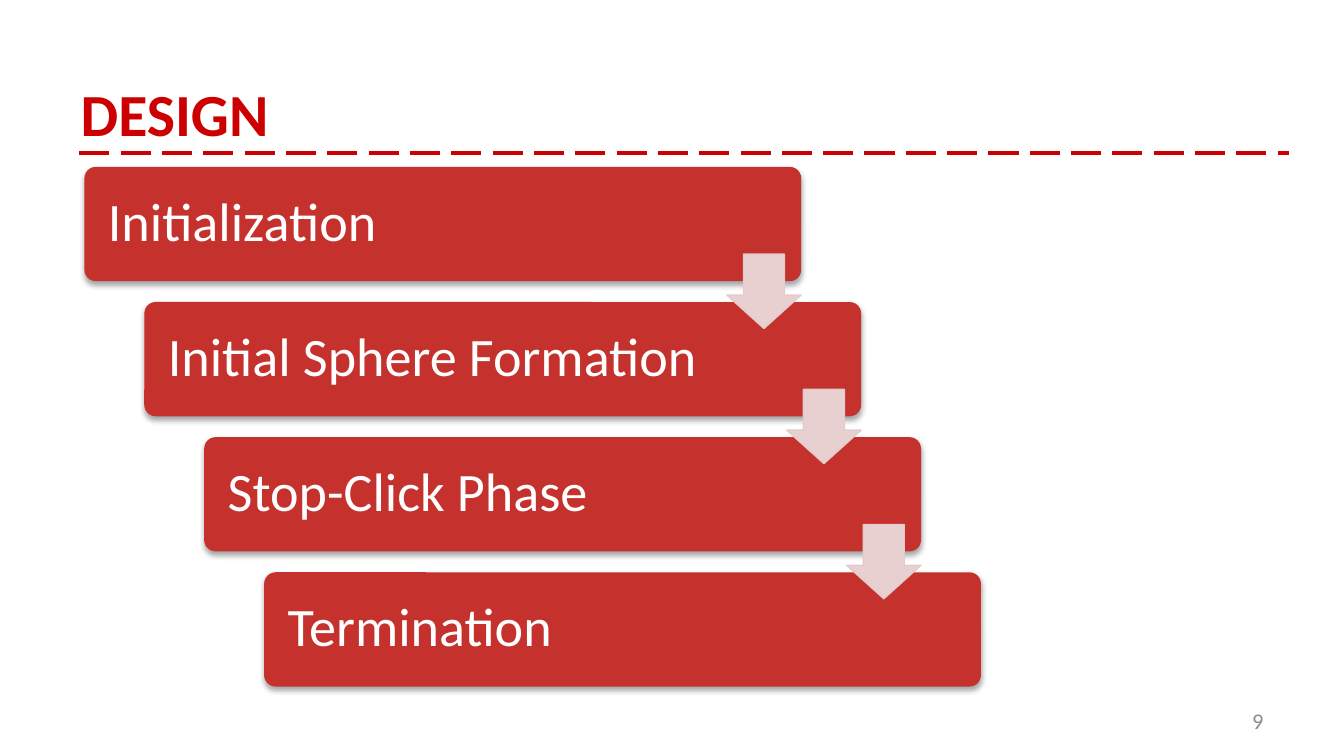
from lxml import etree
from pptx import Presentation
from pptx.dml.color import RGBColor
from pptx.enum import dml, shapes, text
from pptx.oxml import parse_xml
from pptx.oxml.ns import nsdecls, qn
from pptx.util import Pt

RED = RGBColor(0xCC, 0x00, 0x01)
BRICK = RGBColor(0xC5, 0x31, 0x2D)
PINK = RGBColor(0xE8, 0xD0, 0xD0)
PINK_EDGE = RGBColor(0xE3, 0xCB, 0xCB)
WHITE = RGBColor(0xFF, 0xFF, 0xFF)
GRAY = RGBColor(0x8C, 0x8C, 0x8C)
FONT = "Calibri"

STEPS = ["Initialization", "Initial Sphere Formation", "Stop-Click Phase", "Termination"]
STEP_LEFT, STEP_TOP = 45.2, 89.4
STEP_WIDTH, STEP_HEIGHT = 384, 61.2
SHIFT_RIGHT, SHIFT_DOWN = 32.1, 72.4
ARROW_SIZE = 39.8
ARROW_DROP = 46.8


def write_text(box, content, *, size, color, bold=False,
               align=text.PP_ALIGN.LEFT, margins=(7.2, 3.6, 7.2, 3.6), spacing=1.0):
    frame = box.text_frame
    frame.word_wrap = True
    frame.auto_size = text.MSO_AUTO_SIZE.NONE
    frame.vertical_anchor = text.MSO_ANCHOR.MIDDLE
    frame.margin_left, frame.margin_top, frame.margin_right, frame.margin_bottom = map(Pt, margins)
    para = frame.paragraphs[0]
    para.alignment = align
    para.line_spacing = spacing
    para.space_before = Pt(0)
    span = para.add_run()
    span.text = content
    span.font.name = FONT
    span.font.size = Pt(size)
    span.font.bold = bold
    span.font.color.rgb = color


def add_soft_shadow(shape):
    shape.shadow.inherit = False
    effects = shape._element.spPr.find(qn("a:effectLst"))
    effects.append(parse_xml(
        f'<a:outerShdw {nsdecls("a")} blurRad="{Pt(3.1)}" dist="{Pt(1.8)}" dir="5400000" '
        'rotWithShape="0"><a:srgbClr val="000000"><a:alpha val="35000"/></a:srgbClr></a:outerShdw>'))


def add_title(page, content):
    title = page.shapes.title
    title.left, title.top, title.width, title.height = Pt(36), Pt(28.8), Pt(648), Pt(63.4)
    write_text(title, content, size=32, color=RED, bold=True)


def add_rule(page):
    rule = page.shapes.add_connector(
        shapes.MSO_CONNECTOR.STRAIGHT, Pt(42.5), Pt(82.1), Pt(690.5), Pt(82.1))
    rule.line.color.rgb = RED
    rule.line.width = Pt(2)
    rule.line.dash_style = dml.MSO_LINE.LONG_DASH
    etree.SubElement(rule._element.spPr, qn("a:effectLst"))


def add_step(page, content, left, top):
    step = page.shapes.add_shape(
        shapes.MSO_SHAPE.ROUNDED_RECTANGLE, Pt(left), Pt(top), Pt(STEP_WIDTH), Pt(STEP_HEIGHT))
    step.adjustments[0] = 0.1
    step.fill.solid()
    step.fill.fore_color.rgb = BRICK
    step.line.fill.background()
    add_soft_shadow(step)
    write_text(step, content, size=29, color=WHITE, margins=(10.8, 10.8, 82, 10.8), spacing=0.9)


def add_arrow(page, left, top):
    arrow = page.shapes.add_shape(
        shapes.MSO_SHAPE.DOWN_ARROW, Pt(left), Pt(top), Pt(ARROW_SIZE), Pt(ARROW_SIZE))
    arrow.adjustments[0] = 0.55
    arrow.adjustments[1] = 0.45
    arrow.fill.solid()
    arrow.fill.fore_color.rgb = PINK
    arrow.line.color.rgb = PINK_EDGE
    arrow.line.width = Pt(0.75)
    arrow.shadow.inherit = False


def add_page_number(page, number):
    box = page.shapes.add_textbox(Pt(516), Pt(375.4), Pt(168), Pt(21.6))
    write_text(box, number, size=12, color=GRAY, align=text.PP_ALIGN.RIGHT)


def main():
    deck = Presentation()
    deck.slide_width, deck.slide_height = Pt(720), Pt(405)
    page = deck.slides.add_slide(deck.slide_layouts[5])
    add_title(page, "DESIGN")
    add_rule(page)
    add_page_number(page, "9")
    corners = [(STEP_LEFT + i * SHIFT_RIGHT, STEP_TOP + i * SHIFT_DOWN) for i in range(len(STEPS))]
    for content, (left, top) in zip(STEPS, corners):
        add_step(page, content, left, top)
    for left, top in corners[:-1]:
        add_arrow(page, left + STEP_WIDTH - ARROW_SIZE, top + ARROW_DROP)
    deck.save("out.pptx")


if __name__ == "__main__":
    main()
